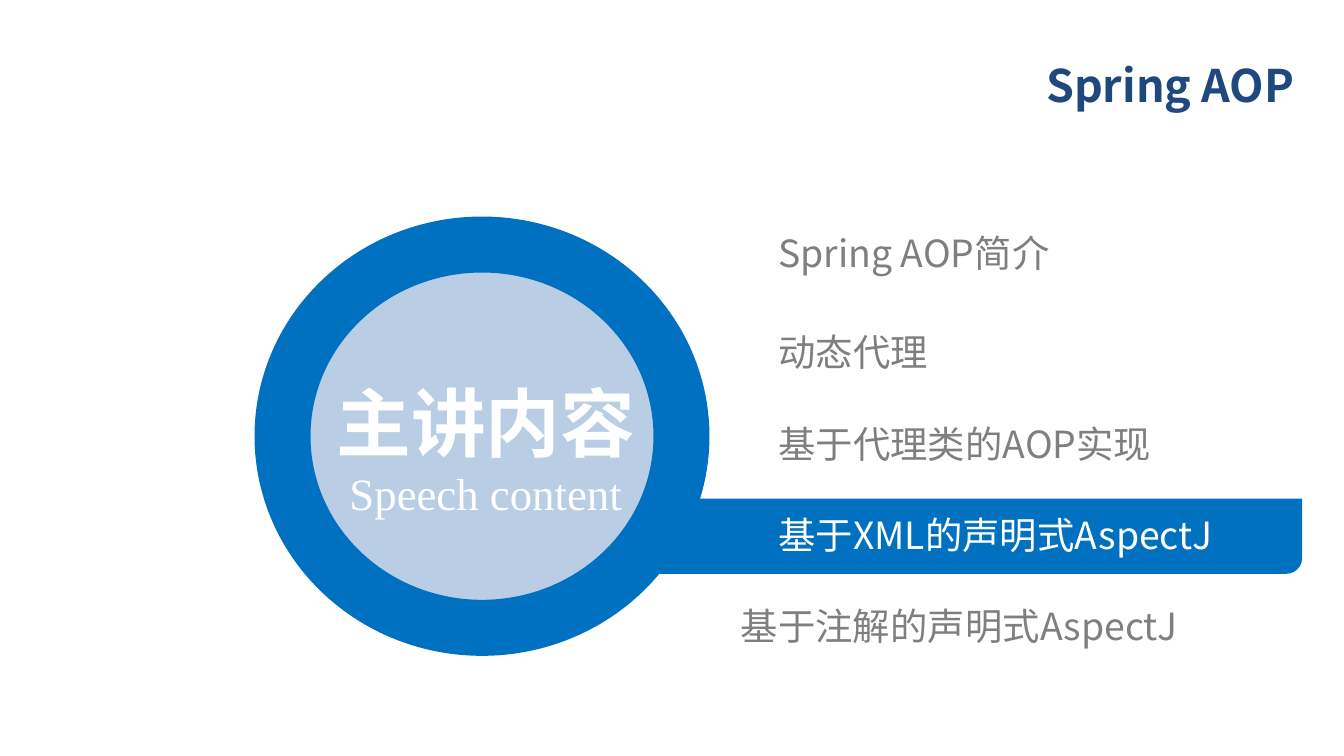
from pptx import Presentation
from pptx import util as u
from pptx.dml.color import RGBColor
from pptx.enum import shapes, text
from pptx.oxml.ns import qn
from lxml import etree

HUE = {"navy": "1F497D", "blue": "0070C0", "pale": "B9CDE5",
       "grey": "7F7F7F", "white": "FFFFFF"}
SANS, SERIF = "Noto Sans CJK SC", "Times New Roman"

# Content
TITLE = "Spring AOP"
HUB = [("主讲内容", 40, SANS, True, 1.5), ("Speech content", 24, SERIF, False, 1)]
TOPICS = ["Spring AOP简介", "动态代理", "基于代理类的AOP实现",
          "基于XML的声明式AspectJ", "基于注解的声明式AspectJ"]
ACTIVE = 3

# Topic list layout, in cm
LEFT, FIRST, SECOND, STEP, HIGH = 14.71, 4.34, 6.22, 1.72, 0.86
LAST_LEFT = 14.0

deck = Presentation()
deck.slide_width, deck.slide_height = u.Cm(25.4), u.Cm(14.28)
slide = deck.slides.add_slide(deck.slide_layouts[6])


def paint(shape, hue):
    shape.shadow.inherit = False
    shape.fill.solid()
    shape.fill.fore_color.rgb = RGBColor.from_string(HUE[hue])


def style(para, size, hue, face=SANS, bold=False):
    font = para.font
    font.size, font.name, font.bold = u.Pt(size), face, bold
    font.color.rgb = RGBColor.from_string(HUE[hue])
    # East Asian glyphs need their own typeface entry
    props = para._p.pPr.find(qn("a:defRPr"))
    etree.SubElement(props, qn("a:ea")).set("typeface", face)


def add_box(x, y, w, h, inset=None):
    frame = slide.shapes.add_textbox(u.Cm(x), u.Cm(y), u.Cm(w), u.Cm(h)).text_frame
    frame.word_wrap = True
    frame.vertical_anchor = text.MSO_ANCHOR.MIDDLE
    if inset is not None:
        frame.margin_left = frame.margin_right = u.Cm(inset)
        frame.margin_top = frame.margin_bottom = u.Cm(inset)
    return frame


# Title
para = add_box(12.29, 0.79, 12.42, 1.6).paragraphs[0]
para.text = TITLE
para.alignment = text.PP_ALIGN.RIGHT
style(para, 24, "navy", bold=True)

# Highlight bar
bar = slide.shapes.add_shape(shapes.MSO_SHAPE.ROUND_2_DIAG_RECTANGLE,
                             u.Cm(9.42), u.Cm(9.42), u.Cm(15.19), u.Cm(1.42))
bar.adjustments[0], bar.adjustments[1] = 0.21, 0
paint(bar, "blue")
bar.line.fill.background()

# Hub circle
ring = slide.shapes.add_shape(shapes.MSO_SHAPE.OVAL,
                              u.Cm(5.34), u.Cm(4.62), u.Cm(7.54), u.Cm(7.24))
paint(ring, "pale")
ring.line.color.rgb = RGBColor.from_string(HUE["blue"])
ring.line.width = u.Pt(30)

# Hub caption
frame = add_box(5.28, 6.2, 7.8, 3.68)
for i, (words, size, face, bold, gap) in enumerate(HUB):
    para = frame.add_paragraph() if i else frame.paragraphs[0]
    para.text = words
    para.alignment = text.PP_ALIGN.CENTER
    para.line_spacing = gap
    style(para, size, "white", face, bold)

# Topics
for i, topic in enumerate(TOPICS):
    x = LAST_LEFT if i == len(TOPICS) - 1 else LEFT
    y = SECOND + (i - 1) * STEP if i else FIRST
    para = add_box(x, y, 25.4 - x, HIGH, 0).paragraphs[0]
    para.text = topic
    style(para, 20, "white" if i == ACTIVE else "grey")

deck.save("out.pptx")
